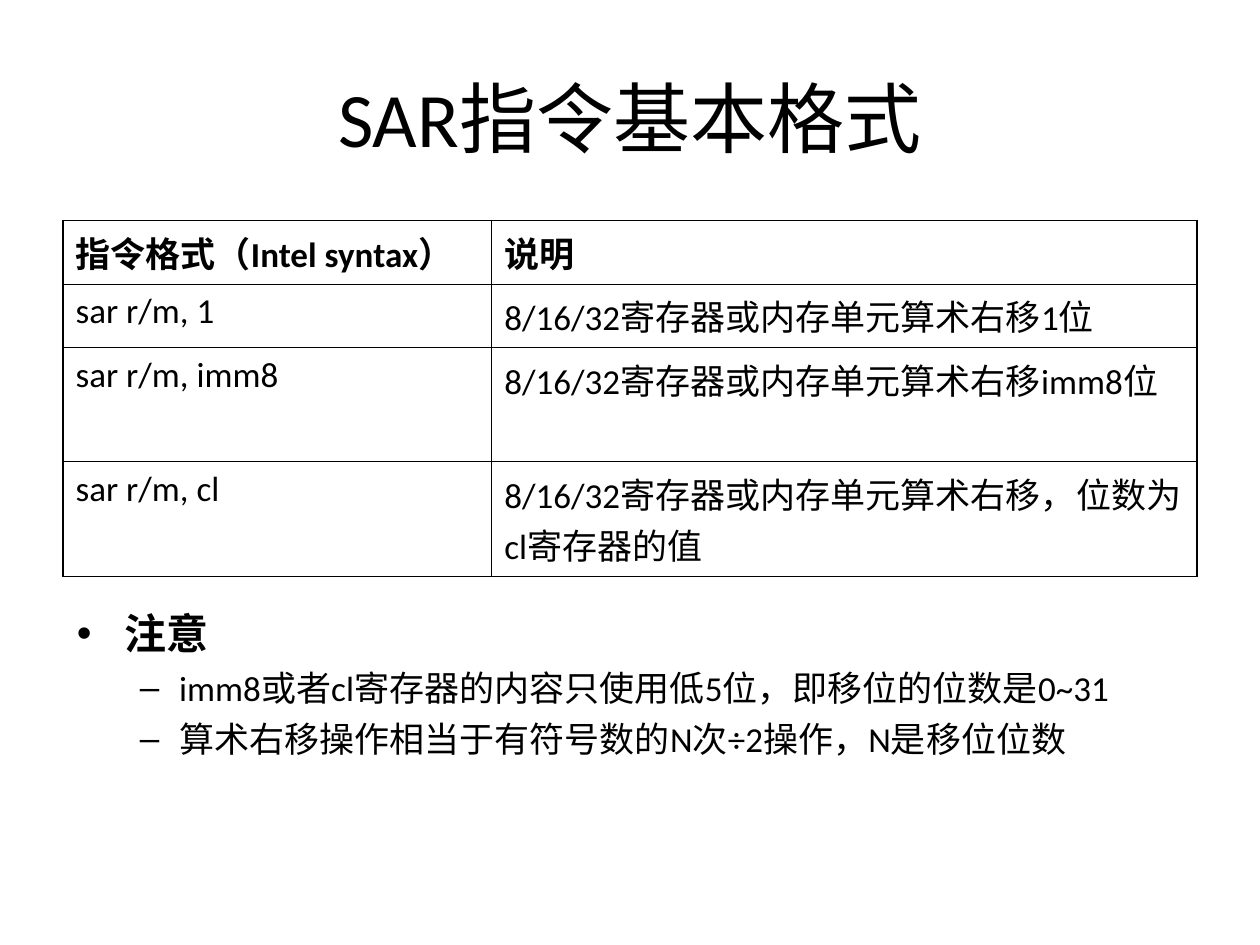
from lxml import etree
from pptx import Presentation
from pptx import util as u
from pptx.dml import color
from pptx.enum import text
from pptx.oxml import ns

Pt = u.Pt
COLORS = {"ink": "000000"}
FONT = "Calibri"
THIN, THICK = 0.45, 1.08

TITLE = "SAR指令基本格式"
COLUMNS = [245, 403]
ROW_HEIGHTS = [36, 36, 36, 65.5]
FORMATS = [
    ("指令格式（Intel syntax）", "说明"),
    ("sar r/m, 1", "8/16/32寄存器或内存单元算术右移1位"),
    ("sar r/m, imm8", "8/16/32寄存器或内存单元算术右移imm8位"),
    ("sar r/m, cl", "8/16/32寄存器或内存单元算术右移，位数为cl寄存器的值"),
]
NOTES = [
    (0, "注意"),
    (1, "imm8或者cl寄存器的内容只使用低5位，即移位的位数是0~31"),
    (1, "算术右移操作相当于有符号数的N次÷2操作，N是移位位数"),
]
NOTE_STYLES = [
    {"bullet": "•", "left": 27, "hang": 27, "size": 24, "bold": True},
    {"bullet": "–", "left": 58.5, "hang": 22.5, "size": 20, "bold": False},
]


def add_run(p, words, size, bold=False):
    r = p.add_run()
    r.text = words
    r.font.name = FONT
    r.font.size = Pt(size)
    r.font.bold = bold
    r.font.color.rgb = color.RGBColor.from_string(COLORS["ink"])


def place(sp, box):
    sp.left, sp.top, sp.width, sp.height = [Pt(v) for v in box]


def set_border(cell, side, width):
    tc_pr = cell._tc.get_or_add_tcPr()
    ln = etree.SubElement(tc_pr, ns.qn("a:ln" + side), w=str(Pt(width)))
    fill = etree.SubElement(ln, ns.qn("a:solidFill"))
    etree.SubElement(fill, ns.qn("a:srgbClr"), val=COLORS["ink"])


def set_bullet(p, style):
    p_pr = p._p.get_or_add_pPr()
    p_pr.set("marL", str(Pt(style["left"])))
    p_pr.set("indent", str(-Pt(style["hang"])))
    clr = etree.SubElement(p_pr, ns.qn("a:buClr"))
    etree.SubElement(clr, ns.qn("a:srgbClr"), val=COLORS["ink"])
    etree.SubElement(p_pr, ns.qn("a:buFont"), typeface="Arial")
    etree.SubElement(p_pr, ns.qn("a:buChar"), char=style["bullet"])


def fill_title(sp, box):
    place(sp, box)
    tf = sp.text_frame
    tf.auto_size = text.MSO_AUTO_SIZE.NONE
    tf.vertical_anchor = text.MSO_ANCHOR.MIDDLE
    p = tf.paragraphs[0]
    p.alignment = text.PP_ALIGN.CENTER
    add_run(p, TITLE, 44)


def add_format_table(s, box):
    rows, cols = len(FORMATS), len(COLUMNS)
    table = s.shapes.add_table(rows, cols, *[Pt(v) for v in box]).table
    table.first_row = table.horz_banding = False
    for column, width in zip(table.columns, COLUMNS):
        column.width = Pt(width)
    for i, (row, height) in enumerate(zip(table.rows, ROW_HEIGHTS)):
        row.height = Pt(height)
        for j, cell in enumerate(row.cells):
            set_border(cell, "L", THICK if j == 0 else THIN)
            set_border(cell, "R", THICK if j == cols - 1 else THIN)
            set_border(cell, "T", THICK if i == 0 else THIN)
            set_border(cell, "B", THIN)
            cell.fill.background()
            p = cell.text_frame.paragraphs[0]
            p.space_before = Pt(5)
            add_run(p, FORMATS[i][j], 20, bold=i == 0)


def fill_notes(sp, box):
    place(sp, box)
    tf = sp.text_frame
    tf.auto_size = text.MSO_AUTO_SIZE.NONE
    for i, (level, words) in enumerate(NOTES):
        style = NOTE_STYLES[level]
        p = tf.add_paragraph() if i else tf.paragraphs[0]
        p.level = level
        set_bullet(p, style)
        p.space_before = Pt(5 if i else 0)
        add_run(p, words, style["size"], style["bold"])


def main():
    prs = Presentation()
    prs.slide_width, prs.slide_height = Pt(720), Pt(540)
    s = prs.slides.add_slide(prs.slide_layouts[1])
    fill_title(s.shapes.title, (36, 21.6, 648, 90))
    add_format_table(s, (36, 126, sum(COLUMNS), sum(ROW_HEIGHTS)))
    fill_notes(s.placeholders[1], (36.7, 343.5, 648, 136))
    prs.save("out.pptx")


if __name__ == "__main__":
    main()
